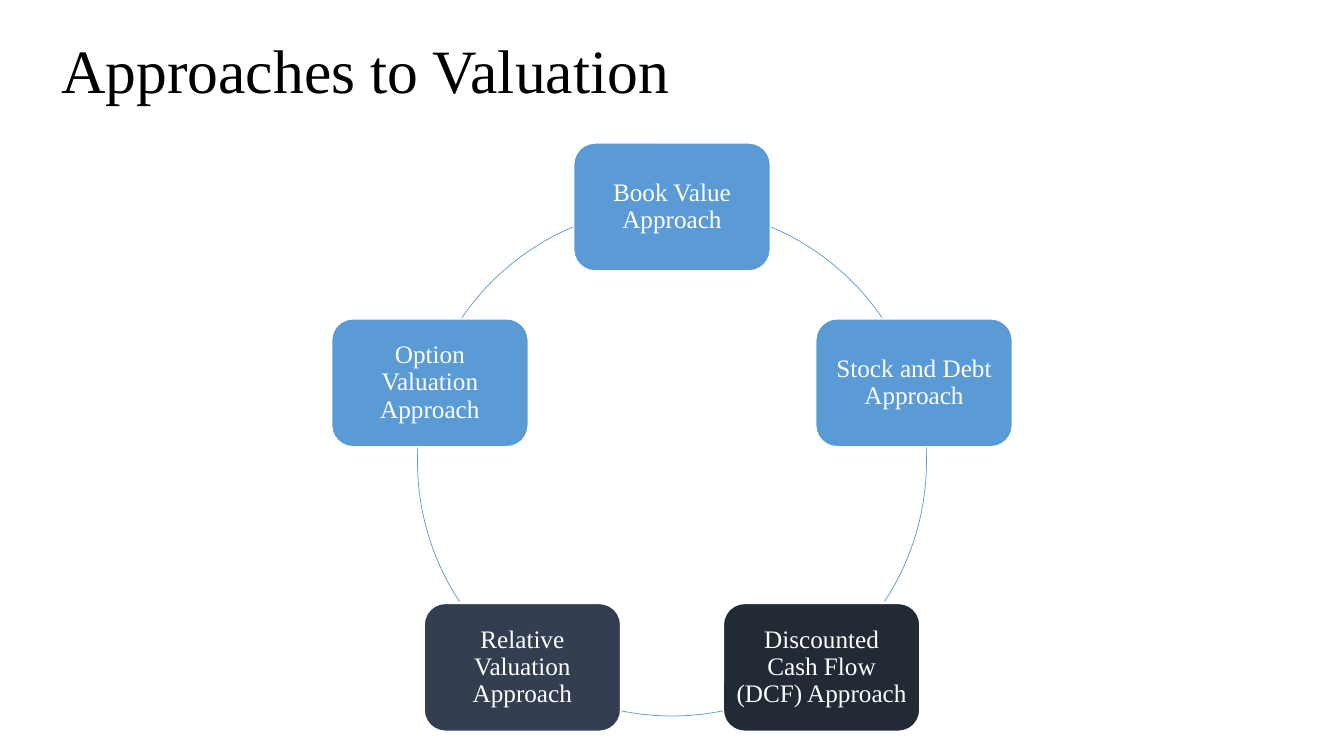
import math

import pptx
import pptx.dml.color
import pptx.enum.shapes
import pptx.enum.text
import pptx.util

Pt = pptx.util.Pt
SHAPES = pptx.enum.shapes.MSO_SHAPE
ALIGN = pptx.enum.text.PP_ALIGN
THEME = {
    "font": "Times New Roman",
    "title_size": 44,
    "label_size": 18,
    "black": "000000",
    "white": "FFFFFF",
    "blue": "5B9BD5",
    "slate": "333F50",
    "navy": "222A35",
}


def color(name):
    return pptx.dml.color.RGBColor.from_string(THEME[name])


def write(frame, text, size, ink, align):
    frame.word_wrap = True
    frame.vertical_anchor = pptx.enum.text.MSO_ANCHOR.MIDDLE
    frame.text = text
    paragraph = frame.paragraphs[0]
    paragraph.alignment = align
    paragraph.line_spacing = 0.9
    font = paragraph.runs[0].font
    font.name = THEME["font"]
    font.size = Pt(THEME[size])
    font.color.rgb = color(ink)


presentation = pptx.Presentation()
presentation.slide_width = Pt(960)
presentation.slide_height = Pt(540)
slide = presentation.slides.add_slide(presentation.slide_layouts[6])

title = slide.shapes.add_textbox(Pt(36.7), Pt(0), Pt(828), Pt(104.4))
write(title.text_frame, "Approaches to Valuation", "title_size", "black", ALIGN.LEFT)

center_x, center_y, radius = 480, 329.6, 181.8
card_width, card_height = 140.4, 91.3
approaches = [
    ("Book Value Approach", "blue", 292.9, 325.6),
    ("Stock and Debt Approach", "blue", 356.8, 33.4),
    ("Discounted Cash Flow (DCF) Approach", "navy", 78.4, 101.6),
    ("Relative Valuation Approach", "slate", 146.6, 183.2),
    ("Option Valuation Approach", "blue", 214.4, 247.1),
]

for index, (label, fill, arc_start, arc_end) in enumerate(approaches):
    angle = math.radians(72 * index - 90)
    card = slide.shapes.add_shape(
        SHAPES.ROUNDED_RECTANGLE,
        Pt(center_x + radius * math.cos(angle) - card_width / 2),
        Pt(center_y + radius * math.sin(angle) - card_height / 2),
        Pt(card_width),
        Pt(card_height),
    )
    card.shadow.inherit = False
    card.fill.solid()
    card.fill.fore_color.rgb = color(fill)
    card.line.color.rgb = color("white")
    card.line.width = Pt(1)
    frame = card.text_frame
    frame.margin_left = frame.margin_right = Pt(5)
    frame.margin_top = frame.margin_bottom = Pt(5)
    write(frame, label, "label_size", "white", ALIGN.CENTER)

    arc = slide.shapes.add_shape(
        SHAPES.ARC,
        Pt(center_x - radius),
        Pt(center_y - radius),
        Pt(2 * radius),
        Pt(2 * radius),
    )
    arc.shadow.inherit = False
    arc.fill.background()
    arc.line.color.rgb = color("blue")
    arc.line.width = Pt(0.5)
    arc.adjustments[0] = arc_start * 0.6
    arc.adjustments[1] = arc_end * 0.6

presentation.save("out.pptx")
